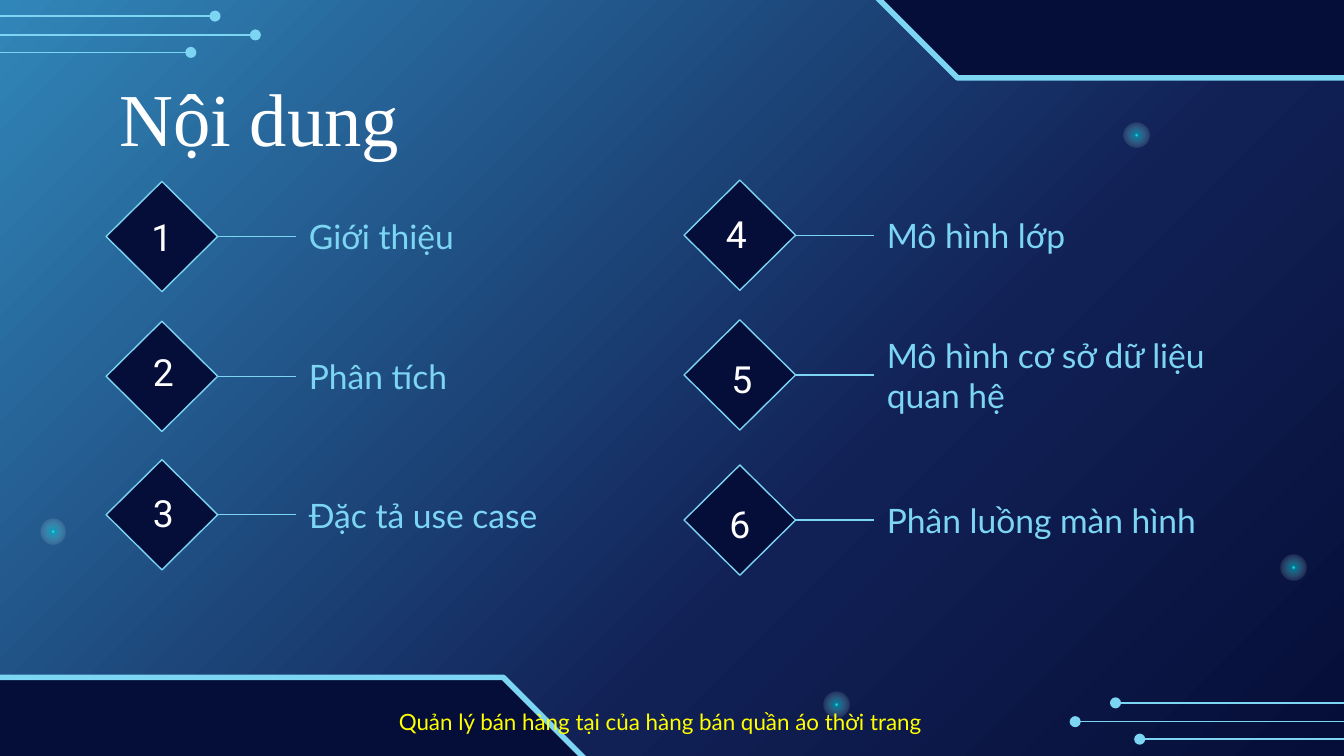
import pptx
import pptx.util
import pptx.dml.color
import pptx.enum.shapes
import pptx.enum.text
import pptx.oxml.ns
from lxml import etree

RGB = pptx.dml.color.RGBColor
NAVY = RGB(0x05, 0x0E, 0x38)
SKY = RGB(0x7C, 0xD5, 0xF3)
WHITE = RGB(0xFF, 0xFF, 0xFF)
GOLD = RGB(0xFF, 0xFF, 0x00)
BLUE = RGB(0x31, 0x86, 0xB9)
DUSK = RGB(0x11, 0x20, 0x55)
CYAN = RGB(0x21, 0xFF, 0xFF)
TEAL = RGB(0x05, 0xD8, 0xE7)

kinds = pptx.enum.shapes.MSO_SHAPE
align = pptx.enum.text.PP_ALIGN
qn = pptx.oxml.ns.qn

deck = pptx.Presentation()
deck.slide_width = pptx.util.Inches(10)
deck.slide_height = deck.slide_width * 9 // 16
unit = deck.slide_width / 100
slide = deck.slides.add_slide(deck.slide_layouts[6])
shapes = slide.shapes


def wire(x, y, end, tail=False):
    line = shapes.add_connector(
        pptx.enum.shapes.MSO_CONNECTOR.STRAIGHT,
        *[round(n * unit) for n in (x, y, end, y)])
    line.line.color.rgb = SKY
    line.line.width = pptx.util.Pt(0.75)
    props = line.element.spPr
    if tail:
        etree.SubElement(props.find(qn("a:ln")), qn("a:tailEnd"), type="oval")
    etree.SubElement(props, qn("a:effectLst"))
    return line


def write(text, spot, size, font, color, side=align.LEFT, pad=0.1):
    box = shapes.add_textbox(*[round(n * unit) for n in spot])
    frame = box.text_frame
    frame.word_wrap = True
    frame.vertical_anchor = pptx.enum.text.MSO_ANCHOR.MIDDLE
    frame.margin_left = frame.margin_right = pptx.util.Inches(pad)
    frame.margin_top = frame.margin_bottom = pptx.util.Inches(0.1)
    para = frame.paragraphs[0]
    para.alignment = side
    run = para.add_run()
    run.text = text
    run.font.size = pptx.util.Pt(size)
    run.font.name = font
    run.font.color.rgb = color


slide.background.fill.gradient()
night = [(0, BLUE, 100), (64, DUSK, 100), (100, NAVY, 100)]
glow = [(0, CYAN, 100), (9, TEAL, 48), (69, WHITE, 0), (100, WHITE, 0)]
fades = [(slide.element, night, False)]

for x, y in [(61.3, 51.5), (95.3, 41.3), (83.6, 9.1), (3, 38.6)]:
    star = shapes.add_shape(
        kinds.OVAL, *[round(n * unit) for n in (x, y, 1.9, 1.9)])
    star.rotation = 14.6
    star.shadow.inherit = False
    star.line.fill.background()
    star.fill.gradient()
    fades.append((star.element, glow, True))

for root, stops, ring in fades:
    grad = next(root.iter(qn("a:gradFill")))
    for child in list(grad):
        grad.remove(child)
    group = etree.SubElement(grad, qn("a:gsLst"))
    for place, color, alpha in stops:
        stop = etree.SubElement(group, qn("a:gs"), pos=str(place * 1000))
        tint = etree.SubElement(stop, qn("a:srgbClr"), val=str(color))
        if alpha < 100:
            etree.SubElement(tint, qn("a:alpha"), val=str(alpha * 1000))
    if ring:
        shade = etree.SubElement(grad, qn("a:path"))
        shade.set("path", "circle")
        etree.SubElement(shade, qn("a:fillToRect"),
                         {edge: "50000" for edge in "ltrb"})
    else:
        etree.SubElement(grad, qn("a:lin"), ang=str(45 * 60000), scaled="0")

plates = []
for x, y, turn in [(-7.4, 50.4, 0), (64.2, -8.3, 180)]:
    plate = shapes.add_shape(
        kinds.SNIP_2_SAME_RECTANGLE,
        *[round(n * unit) for n in (x, y, 51.9, 14.1)])
    plate.adjustments[0] = 0.5
    plate.adjustments[1] = 0
    plate.rotation = turn
    plates.append((plate, 3))

for x, y, end in [(103.1, 53.7, 80), (107.9, 55, 84.8), (106.1, 52.3, 83),
                  (-4.1, 2.6, 19), (-9, 3.9, 14.2), (-7.1, 1.2, 16)]:
    wire(x, y, end, True)

write("Nội dung", (7.9, 3.8, 108.3, 9.7), 40, "Times New Roman", WHITE)

items = [
    (7.9, 13.5, "Giới thiệu", 0, 0),
    (7.9, 23.9, "Phân tích", 0.1, -0.35),
    (7.9, 34.2, "Đặc tả use case", 0.1, -0.15),
    (50.9, 13.4, "Mô hình lớp", -0.25, -0.15),
    (50.9, 23.8, "Mô hình cơ sở dữ liệu quan hệ", 0.15, 0.25),
    (50.9, 34.6, "Phân luồng màn hình", 0, 0.25),
]
for count, (x, y, label, dx, dy) in enumerate(items, 1):
    gem = shapes.add_shape(
        kinds.DIAMOND, *[round(n * unit) for n in (x, y, 8.3, 8.2)])
    plates.append((gem, 0.75))
    write(label, (x + 14.1, y + 2.45, 27.1, 3.3), 18, "Lato", SKY)
    wire(x + 14.1, y + 4.1, x + 8.3).end_connect(gem, 3)
    write(str(count), (x + 0.15 + dx, y + 0.85 + dy, 8, 6.5),
          20, "Roboto", WHITE, align.CENTER, 0)

for plate, width in plates:
    plate.shadow.inherit = False
    plate.fill.solid()
    plate.fill.fore_color.rgb = NAVY
    plate.line.color.rgb = SKY
    plate.line.width = pptx.util.Pt(width)

write("Quản lý bán hàng tại của hàng bán quần áo thời trang",
      (13.5, 52.4, 71.3, 2.5), 12, "Lato", GOLD, align.CENTER)

deck.save("out.pptx")
